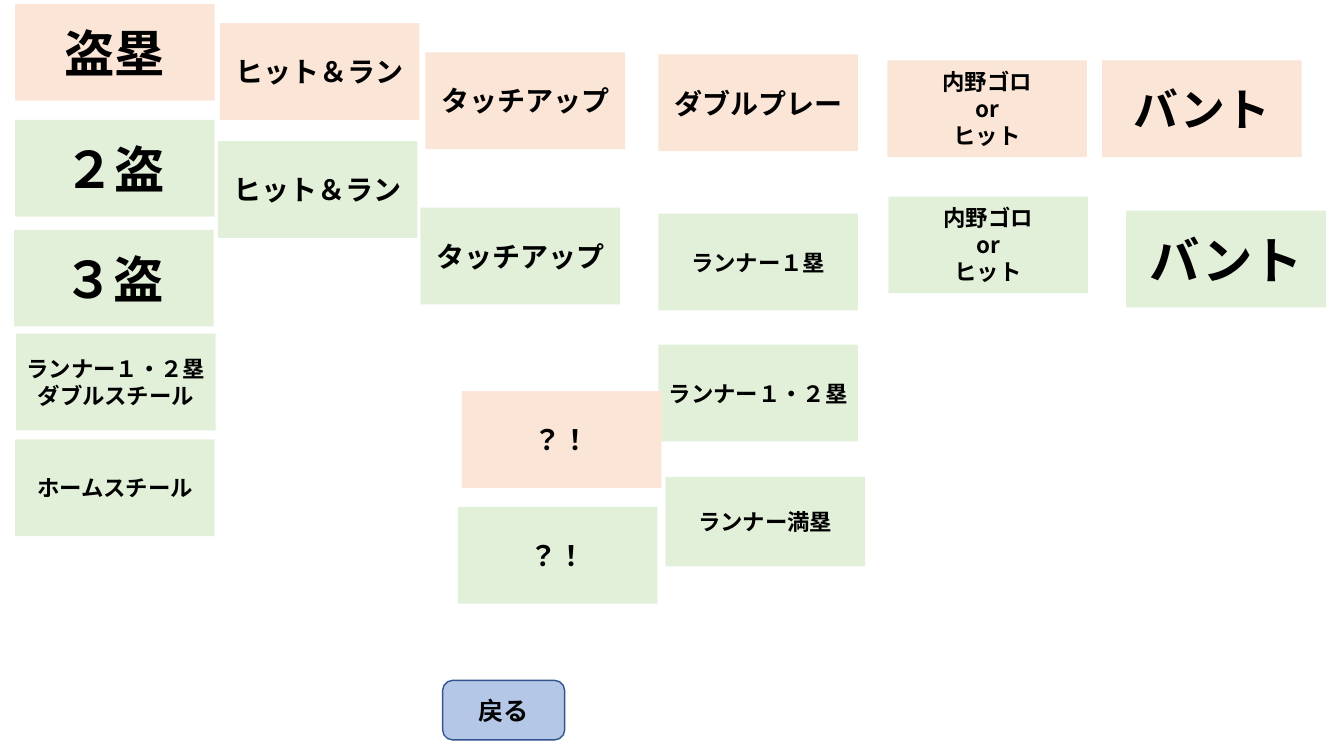
from lxml.etree import SubElement
from pptx import Presentation
from pptx.dml.color import RGBColor
from pptx.enum.shapes import MSO_SHAPE as Shape
from pptx.enum.text import MSO_ANCHOR as Anchor, PP_ALIGN as Align
from pptx.oxml.ns import qn
from pptx.util import Inches, Pt

COLORS = {
    "peach": "FBE5D6",
    "green": "E2F0D9",
    "blue": "B4C7E7",
    "navy": "325491",
    "black": "000000",
}
FONT = "Noto Sans CJK JP"
CARD_WIDTH, CARD_HEIGHT = 1.98, 0.96

CARDS = [
    ("盗塁", 0.15, 0.04, "peach", 36),
    ("タッチアップ", 4.22, 0.52, "peach", 20),
    ("ダブルプレー", 6.53, 0.54, "peach", 20),
    ("内野ゴロ\nor\nヒット", 8.8, 0.6, "peach", 16),
    ("バント", 10.93, 0.6, "peach", 32),
    ("２盗", 0.15, 1.19, "green", 36),
    ("３盗", 0.14, 2.28, "green", 36),
    ("ランナー１塁", 6.53, 2.12, "green", 16),
    ("ランナー１・２塁", 6.53, 3.42, "green", 16),
    ("ランナー１・２塁\nダブルスチール", 0.16, 3.31, "green", 16),
    ("ホームスチール", 0.15, 4.36, "green", 16),
    ("タッチアップ", 4.17, 2.06, "green", 20),
    ("バント", 11.17, 2.09, "green", 36),
    ("内野ゴロ\nor\nヒット", 8.81, 1.95, "green", 16),
    ("ヒット＆ラン", 2.18, 0.23, "peach", 20),
    ("ヒット＆ラン", 2.16, 1.4, "green", 20),
    ("？！", 4.58, 3.88, "peach", 20),
    ("？！", 4.54, 5.03, "green", 20),
]


class PlayBoard:
    def __init__(self, page):
        self.page = page

    def color(self, name):
        return RGBColor.from_string(COLORS[name])

    def block(self, kind, text, left, top, width, height, fill, size):
        box = self.page.shapes.add_shape(
            kind, Inches(left), Inches(top), Inches(width), Inches(height)
        )
        box.shadow.inherit = False
        box.fill.solid()
        box.fill.fore_color.rgb = self.color(fill)
        box.line.fill.background()
        self.label(box.text_frame, text, size)
        return box

    def label(self, frame, text, size):
        frame.text = text
        frame.word_wrap = True
        frame.vertical_anchor = Anchor.MIDDLE
        frame.margin_left = frame.margin_right = Inches(0.05)
        for para in frame.paragraphs:
            para.alignment = Align.CENTER
            for span in para.runs:
                span.font.size = Pt(size)
                span.font.bold = True
                span.font.color.rgb = self.color("black")
                span.font.name = FONT
                SubElement(span.font._element, qn("a:ea"), typeface=FONT)

    def card(self, text, left, top, fill, size, height=CARD_HEIGHT):
        self.block(Shape.RECTANGLE, text, left, top, CARD_WIDTH, height, fill, size)

    def button(self, text, left, top, width, height):
        box = self.block(
            Shape.ROUNDED_RECTANGLE, text, left, top, width, height, "blue", 18
        )
        box.line.color.rgb = self.color("navy")
        box.line.width = Pt(1)


def main():
    deck = Presentation()
    deck.slide_width, deck.slide_height = Inches(13.33), Inches(7.5)
    board = PlayBoard(deck.slides.add_slide(deck.slide_layouts[6]))
    for card in CARDS:
        board.card(*card)
    board.card("ランナー満塁", 6.6, 4.73, "green", 16, height=0.89)
    board.button("戻る", 4.39, 6.75, 1.21, 0.59)
    deck.save("out.pptx")


if __name__ == "__main__":
    main()
